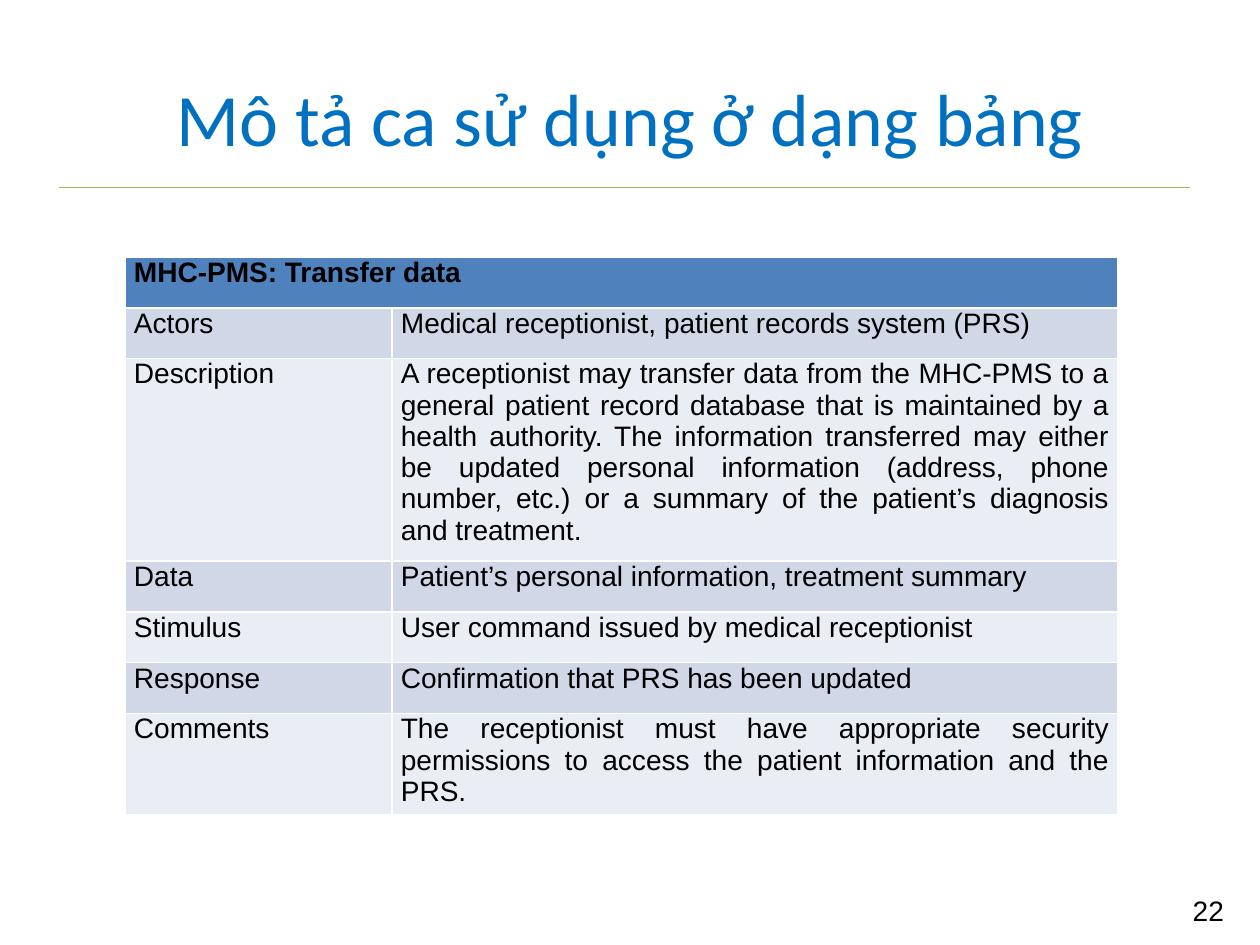
from pptx import Presentation
from pptx.dml.color import RGBColor
from pptx.enum.shapes import MSO_CONNECTOR as Connector
from pptx.enum.text import MSO_ANCHOR as Anchor, PP_ALIGN as Align
from pptx.oxml.ns import qn
from pptx.util import Cm, Pt
from lxml.etree import SubElement

BLUE = RGBColor(0x00, 0x70, 0xC0)
GREEN = RGBColor(0x9B, 0xBB, 0x59)
BLACK = RGBColor(0x00, 0x00, 0x00)
HEADER = RGBColor(0x4F, 0x81, 0xBD)
BANDS = (RGBColor(0xD0, 0xD8, 0xE8), RGBColor(0xE9, 0xED, 0xF4))

TITLE_FONT = {"name": "Calibri", "size": Pt(42), "bold": False}
BODY_FONT = {"name": "Arial", "size": Pt(16), "bold": False}
HEADER_FONT = {**BODY_FONT, "bold": True}
TITLE_FRAME = {"margin_left": 0, "margin_top": 0, "margin_right": 0,
               "margin_bottom": 0, "vertical_anchor": Anchor.MIDDLE,
               "word_wrap": True}
NUMBER_FRAME = {"word_wrap": True}
CELL_MARGINS = {"margin_left": Cm(0.18), "margin_top": 0,
                "margin_right": Cm(0.18), "margin_bottom": 0}

USE_CASE = "MHC-PMS: Transfer data"
USE_CASE_ROWS = [
    ("Actors", "Medical receptionist, patient records system (PRS)", 1.02),
    ("Description",
     "A receptionist may transfer data from the MHC-PMS to a general patient "
     "record database that is maintained by a health authority. The information "
     "transferred may either be updated personal information (address, phone "
     "number, etc.) or a summary of the patient’s diagnosis and treatment.", 4.05),
    ("Data", "Patient’s personal information, treatment summary", 1.02),
    ("Stimulus", "User command issued by medical receptionist", 1.02),
    ("Response", "Confirmation that PRS has been updated", 1.02),
    ("Comments",
     "The receptionist must have appropriate security permissions to access "
     "the patient information and the PRS.", 2.03),
]
HEADER_HEIGHT = 1.02
COLUMN_WIDTHS = (5.36, 14.58)


def apply_format(target, values):
    for name, value in values.items():
        setattr(target, name, value)


def write_text(frame, text, font, color, align):
    paragraph = frame.paragraphs[0]
    paragraph.alignment = align
    run = paragraph.add_run()
    run.text = text
    apply_format(run.font, font)
    run.font.color.rgb = color


def add_text(slide, text, box, frame_format, font, color, align):
    shape = slide.shapes.add_textbox(*map(Cm, box))
    apply_format(shape.text_frame, frame_format)
    write_text(shape.text_frame, text, font, color, align)


def add_rule(slide, left, right, top):
    rule = slide.shapes.add_connector(
        Connector.STRAIGHT, Cm(left), Cm(top), Cm(right), Cm(top))
    rule.line.color.rgb = GREEN
    rule.line.width = Pt(0.75)
    SubElement(rule._element.spPr, qn("a:effectLst"))


def fill_cell(cell, text, font, fill):
    apply_format(cell, CELL_MARGINS)
    cell.fill.solid()
    cell.fill.fore_color.rgb = fill
    write_text(cell.text_frame, text, font, BLACK, Align.JUSTIFY)


def add_use_case_table(slide, left, top):
    heights = [HEADER_HEIGHT] + [height for _, _, height in USE_CASE_ROWS]
    table = slide.shapes.add_table(
        len(heights), len(COLUMN_WIDTHS), Cm(left), Cm(top),
        Cm(sum(COLUMN_WIDTHS)), Cm(sum(heights))).table
    for column, width in zip(table.columns, COLUMN_WIDTHS):
        column.width = Cm(width)
    for row, height in zip(table.rows, heights):
        row.height = Cm(height)
    table.cell(0, 0).merge(table.cell(0, 1))
    fill_cell(table.cell(0, 0), USE_CASE, HEADER_FONT, HEADER)
    for index, (field, value, _) in enumerate(USE_CASE_ROWS):
        for column, text in enumerate((field, value)):
            fill_cell(table.cell(index + 1, column), text, BODY_FONT,
                      BANDS[index % 2])


def main():
    presentation = Presentation()
    presentation.slide_width = Cm(25.3)
    presentation.slide_height = Cm(18.97)
    slide = presentation.slides.add_slide(presentation.slide_layouts[6])
    add_rule(slide, 1.19, 23.9, 3.76)
    add_text(slide, "Mô tả ca sử dụng ở dạng bảng", (1.27, 0.76, 22.76, 3.18),
             TITLE_FRAME, TITLE_FONT, BLUE, Align.CENTER)
    add_use_case_table(slide, 2.51, 5.16)
    add_text(slide, "22", (23.7, 17.81, 1.65, 0.99),
             NUMBER_FRAME, BODY_FONT, BLACK, Align.LEFT)
    presentation.save("out.pptx")


if __name__ == "__main__":
    main()
